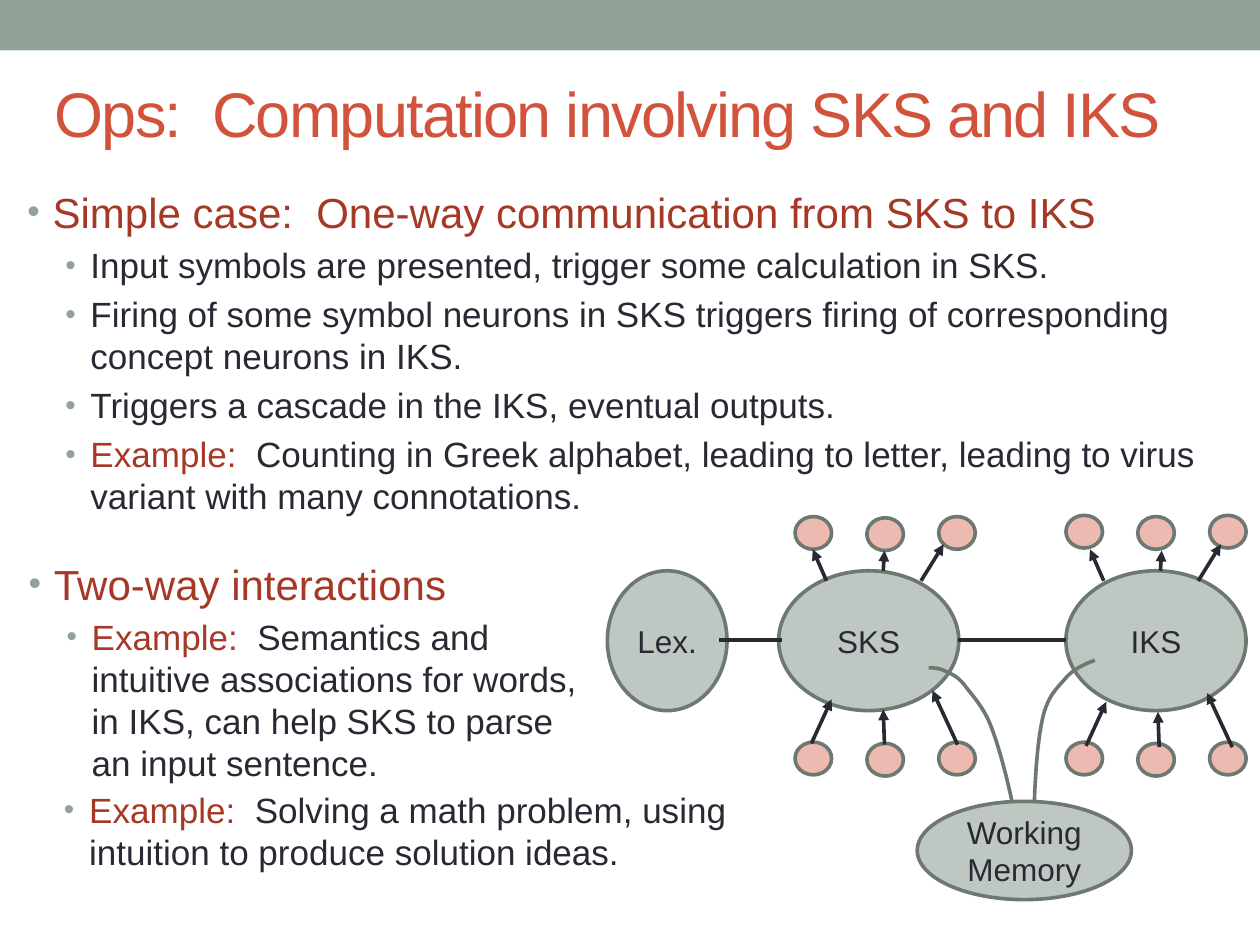
from dataclasses import dataclass

from lxml import etree
from pptx import Presentation
from pptx.dml.color import RGBColor
from pptx.enum.shapes import MSO_CONNECTOR, MSO_SHAPE
from pptx.enum.text import MSO_ANCHOR, PP_ALIGN
from pptx.oxml.ns import qn
from pptx.util import Inches, Pt

STRAIGHT = MSO_CONNECTOR.STRAIGHT
OVAL = MSO_SHAPE.OVAL
RECTANGLE = MSO_SHAPE.RECTANGLE
MIDDLE = MSO_ANCHOR.MIDDLE
CENTER = PP_ALIGN.CENTER

FONT = "Arial"
LINE_WIDTH = Pt(2.08)
CURVE_STEPS = 12
COLORS = {
    "band": "93A299",
    "title": "D2533C",
    "accent": "A53926",
    "text": "292934",
    "region": "BEC7C2",
    "neuron": "EDBAB1",
    "outline": "6D7871",
}
LEVEL_SIZES = (24, 20)
LEVEL_INDENTS = (0.2, 0.5)
HANGING = 0.2

Point = tuple[float, float]


@dataclass
class Bullet:
    level: int
    text: str
    lead: str = ""


@dataclass
class BulletBox:
    left: float
    top: float
    width: float
    height: float
    bullets: list[Bullet]


@dataclass
class Region:
    label: str
    left: float
    top: float
    width: float
    height: float


@dataclass
class NeuronRow:
    """Three neurons, and the arrows that join them to their region."""
    left: float
    top: float
    arrows: list[tuple[Point, Point]]


BULLET_BOXES = [
    BulletBox(0.12, 1.43, 9.54, 2.8, [
        Bullet(0, "", "Simple case:  One-way communication from SKS to IKS"),
        Bullet(1, "Input symbols are presented, trigger some calculation in SKS."),
        Bullet(1, "Firing of some symbol neurons in SKS triggers firing of "
                  "corresponding concept neurons in IKS."),
        Bullet(1, "Triggers a cascade in the IKS, eventual outputs."),
        Bullet(1, "Counting in Greek alphabet, leading to letter, leading to "
                  "virus variant with many connotations.", "Example:  "),
    ]),
    BulletBox(0.13, 4.38, 4.57, 2, [
        Bullet(0, "", "Two-way interactions"),
        Bullet(1, "  Semantics and intuitive associations for words, in IKS, "
                  "can help SKS to parse an input sentence.", "Example:"),
    ]),
    BulletBox(0.11, 6.21, 6.03, 0.94, [
        Bullet(1, "Solving a math problem, using intuition to produce "
                  "solution ideas.", "Example:  "),
    ]),
]

REGIONS = [
    Region("SKS", 6.18, 4.53, 1.43, 1.11),
    Region("IKS", 8.46, 4.53, 1.43, 1.11),
    Region("Lex.", 4.82, 4.53, 0.95, 1.11),
]
WORKING_MEMORY = Region("Working Memory", 7.28, 6.36, 1.7, 0.78)
LINKS = [((5.71, 5.08), (6.21, 5.08)), ((7.6, 5.08), (8.46, 5.08))]

NEURON_SIZE = (0.29, 0.26)
NEURON_PITCH = 0.57
INPUT_ARROWS = [((6.44, 5.9), (6.6, 5.55)), ((7.02, 5.91), (7.01, 5.63)),
                ((7.6, 5.91), (7.4, 5.48))]
OUTPUT_ARROWS = [((6.56, 4.61), (6.45, 4.36)), ((7.01, 4.53), (7.02, 4.37)),
                 ((7.31, 4.61), (7.49, 4.32))]

# Each curve is a start point followed by cubic segments
MEMORY_CURVES = [
    ((8.03, 6.35), [
        ((7.98, 6.12), (7.92, 5.9), (7.86, 5.75)),
        ((7.8, 5.6), (7.7, 5.5), (7.65, 5.43)),
        ((7.59, 5.36), (7.55, 5.35), (7.51, 5.33)),
        ((7.47, 5.31), (7.44, 5.3), (7.37, 5.3)),
    ]),
    ((8.21, 6.35), [
        ((8.22, 6.09), (8.24, 5.84), (8.28, 5.68)),
        ((8.32, 5.52), (8.39, 5.46), (8.46, 5.38)),
        ((8.52, 5.31), (8.61, 5.27), (8.69, 5.24)),
    ]),
]


def color(name: str) -> RGBColor:
    return RGBColor.from_string(COLORS[name])


def format_run(run, size: float, color_name: str) -> None:
    run.font.name = FONT
    run.font.size = Pt(size)
    run.font.color.rgb = color(color_name)


def add_title(slide, text: str) -> None:
    box = slide.shapes.add_textbox(Inches(0.21), Inches(0.35), Inches(9.5), Inches(1.08))
    frame = box.text_frame
    frame.word_wrap = True
    frame.vertical_anchor = MIDDLE
    frame.text = text
    run = frame.paragraphs[0].runs[0]
    format_run(run, 36, "title")
    run.font._element.set("spc", "-100")


def set_bullet(paragraph, level: int) -> None:
    properties = paragraph._p.get_or_add_pPr()
    properties.set("marL", str(Inches(LEVEL_INDENTS[level])))
    properties.set("indent", str(-Inches(HANGING)))
    bullet_color = etree.SubElement(properties, qn("a:buClr"))
    etree.SubElement(bullet_color, qn("a:srgbClr")).set("val", COLORS["band"])
    etree.SubElement(properties, qn("a:buSzPct")).set("val", "85000")
    etree.SubElement(properties, qn("a:buFont")).set("typeface", FONT)
    etree.SubElement(properties, qn("a:buChar")).set("char", "•")


def add_bullet_box(slide, spec_box: BulletBox) -> None:
    box = slide.shapes.add_textbox(Inches(spec_box.left), Inches(spec_box.top),
                                   Inches(spec_box.width), Inches(spec_box.height))
    frame = box.text_frame
    frame.word_wrap = True
    for index, bullet in enumerate(spec_box.bullets):
        paragraph = frame.add_paragraph() if index else frame.paragraphs[0]
        size = LEVEL_SIZES[bullet.level]
        paragraph.level = bullet.level
        set_bullet(paragraph, bullet.level)
        if index:
            paragraph.space_before = Pt(size * 0.2)
        for text, color_name in ((bullet.lead, "accent"), (bullet.text, "text")):
            if text:
                run = paragraph.add_run()
                run.text = text
                format_run(run, size, color_name)


def add_oval(slide, left: float, top: float, width: float, height: float, fill: str):
    oval = slide.shapes.add_shape(OVAL, Inches(left), Inches(top), Inches(width), Inches(height))
    oval.shadow.inherit = False
    oval.fill.solid()
    oval.fill.fore_color.rgb = color(fill)
    oval.line.color.rgb = color("outline")
    oval.line.width = LINE_WIDTH
    return oval


def add_region(slide, region: Region) -> None:
    oval = add_oval(slide, region.left, region.top, region.width, region.height, "region")
    frame = oval.text_frame
    frame.word_wrap = True
    frame.vertical_anchor = MIDDLE
    frame.text = region.label
    frame.paragraphs[0].alignment = CENTER
    format_run(frame.paragraphs[0].runs[0], 18, "text")


def add_line(slide, start: Point, end: Point, arrow: bool = False) -> None:
    points = [Inches(value) for value in (*start, *end)]
    connector = slide.shapes.add_connector(STRAIGHT, *points)
    connector.line.color.rgb = color("text")
    connector.line.width = LINE_WIDTH
    if arrow:
        line = connector.line._get_or_add_ln()
        etree.SubElement(line, qn("a:tailEnd")).set("type", "triangle")
    etree.SubElement(connector._element.spPr, qn("a:effectLst"))


def shift(arrows: list[tuple[Point, Point]], dx: float, dy: float) -> list[tuple[Point, Point]]:
    return [tuple((x + dx, y + dy) for x, y in arrow) for arrow in arrows]


def add_neuron_row(slide, row: NeuronRow) -> None:
    for index, (start, end) in enumerate(row.arrows):
        drop = 0.01 if index == 1 else 0
        add_oval(slide, row.left + index * NEURON_PITCH, row.top + drop, *NEURON_SIZE, "neuron")
        add_line(slide, start, end, arrow=True)


def add_curve(slide, start: Point, segments: list[tuple[Point, Point, Point]]) -> None:
    """Draw cubic segments as one open outline of short steps."""
    points = [start]
    for controls in segments:
        corners = (points[-1], *controls)
        for step in range(1, CURVE_STEPS + 1):
            t = step / CURVE_STEPS
            weights = ((1 - t) ** 3, 3 * t * (1 - t) ** 2, 3 * t * t * (1 - t), t ** 3)
            points.append(tuple(sum(weight * corner[axis] for weight, corner in zip(weights, corners))
                                for axis in (0, 1)))
    scaled = [(Inches(x), Inches(y)) for x, y in points]
    builder = slide.shapes.build_freeform(*scaled[0])
    builder.add_line_segments(scaled[1:], close=False)
    curve = builder.convert_to_shape()
    curve.shadow.inherit = False
    curve.fill.background()
    curve.line.color.rgb = color("outline")
    curve.line.width = LINE_WIDTH


def main() -> None:
    presentation = Presentation()
    presentation.slide_width, presentation.slide_height = Inches(10), Inches(7.5)
    slide = presentation.slides.add_slide(presentation.slide_layouts[6])

    band = slide.shapes.add_shape(RECTANGLE, 0, 0, Inches(10), Inches(0.4))
    band.shadow.inherit = False
    band.fill.solid()
    band.fill.fore_color.rgb = color("band")
    band.line.fill.background()

    add_title(slide, " Ops:  Computation involving SKS and IKS")
    for region in REGIONS:
        add_region(slide, region)
    for start, end in LINKS:
        add_line(slide, start, end)
    for row in (NeuronRow(6.31, 5.89, INPUT_ARROWS),
                NeuronRow(8.46, 5.89, shift(INPUT_ARROWS, 2.18, 0.02)),
                NeuronRow(6.31, 4.1, OUTPUT_ARROWS),
                NeuronRow(8.46, 4.09, shift(OUTPUT_ARROWS, 2.2, 0))):
        add_neuron_row(slide, row)
    add_region(slide, WORKING_MEMORY)
    for start, segments in MEMORY_CURVES:
        add_curve(slide, start, segments)
    for bullet_box in BULLET_BOXES:
        add_bullet_box(slide, bullet_box)
    presentation.save("out.pptx")


if __name__ == "__main__":
    main()
